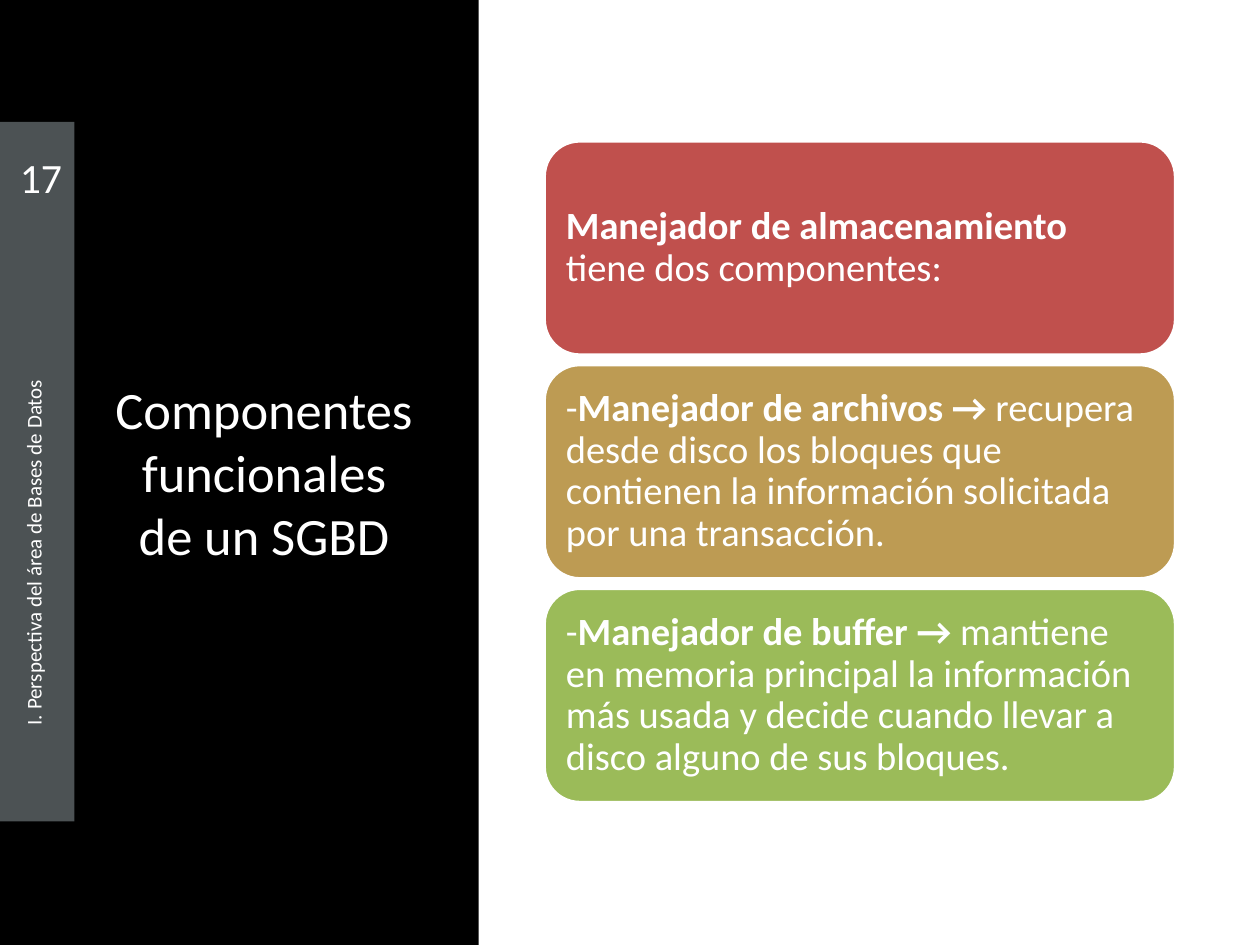
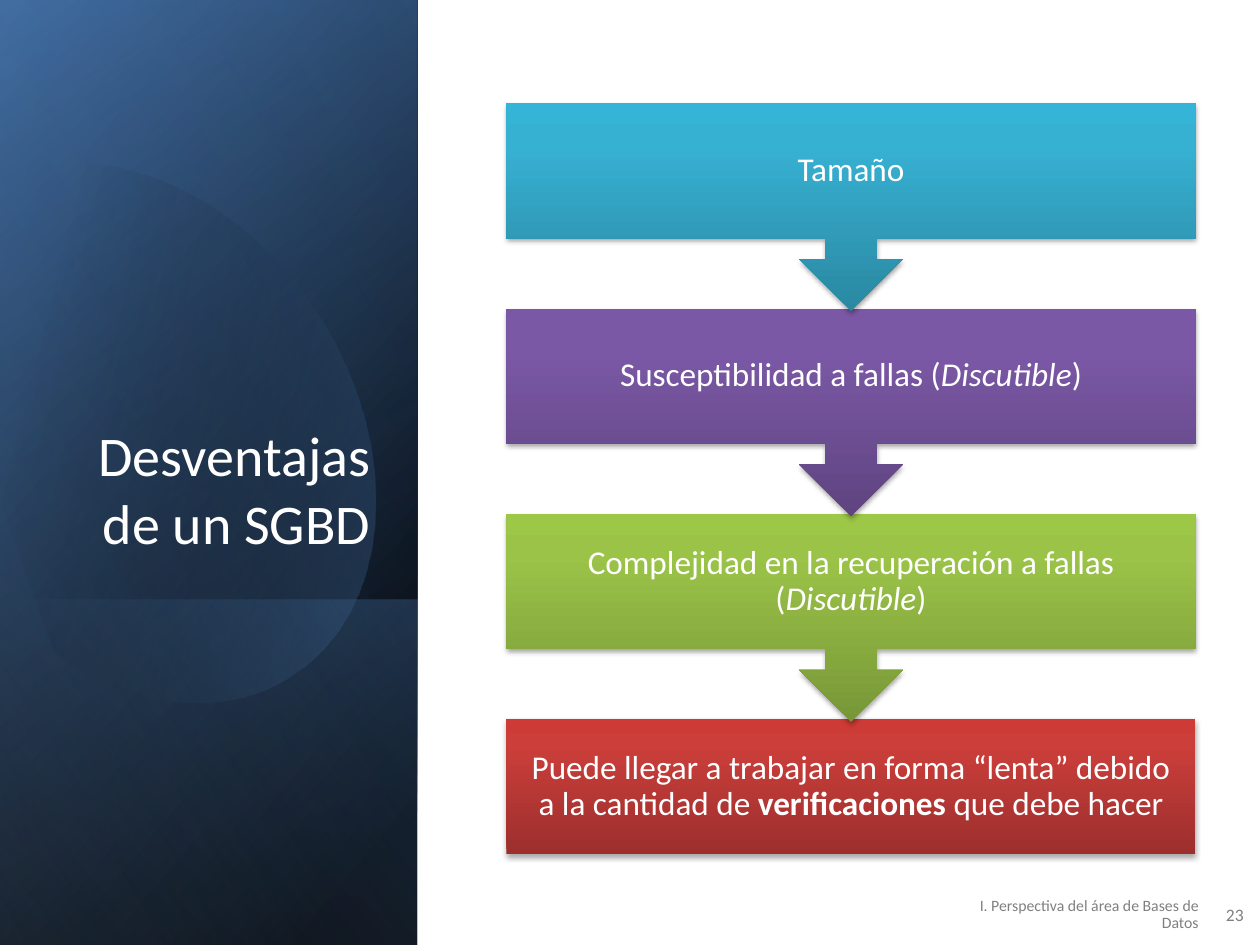
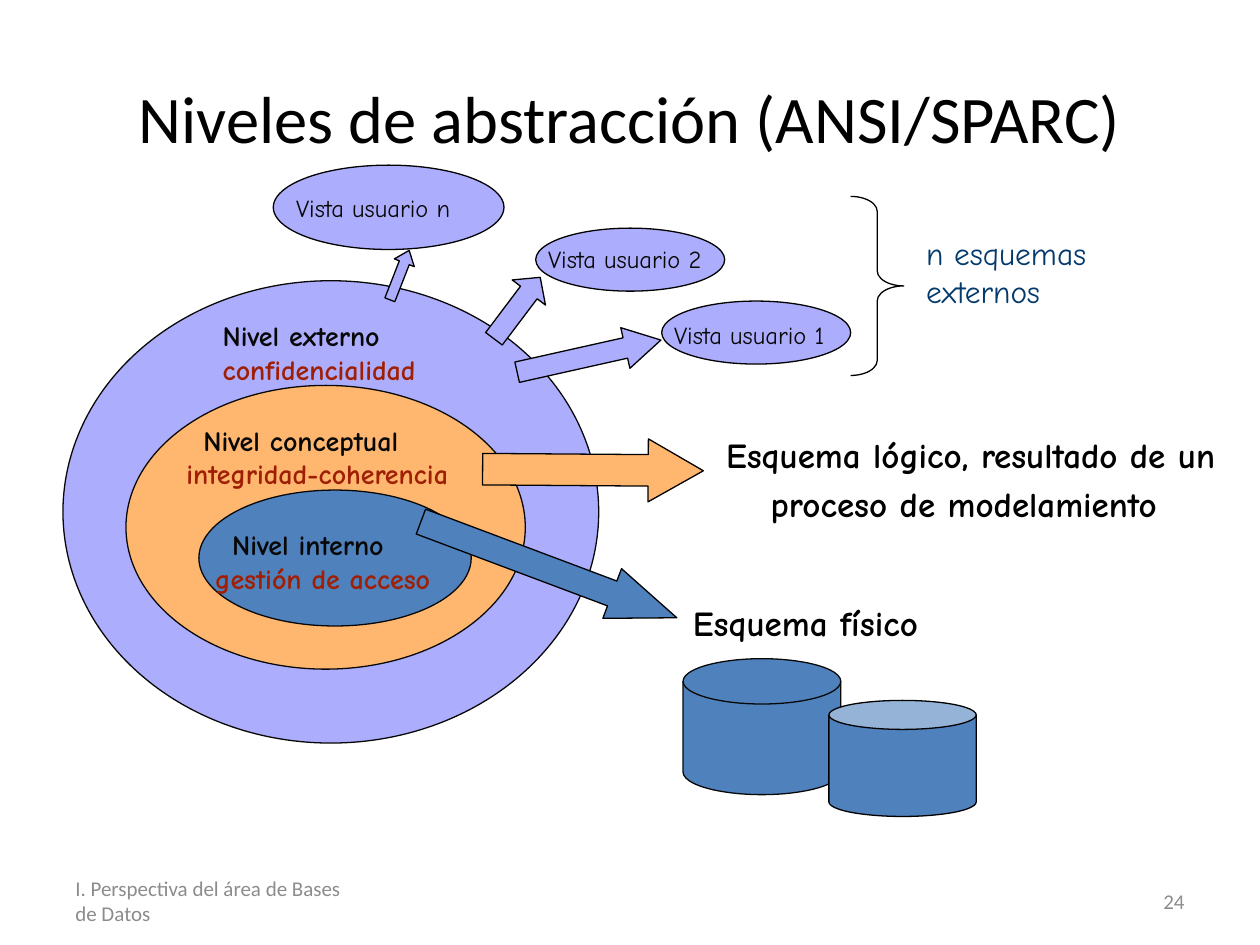
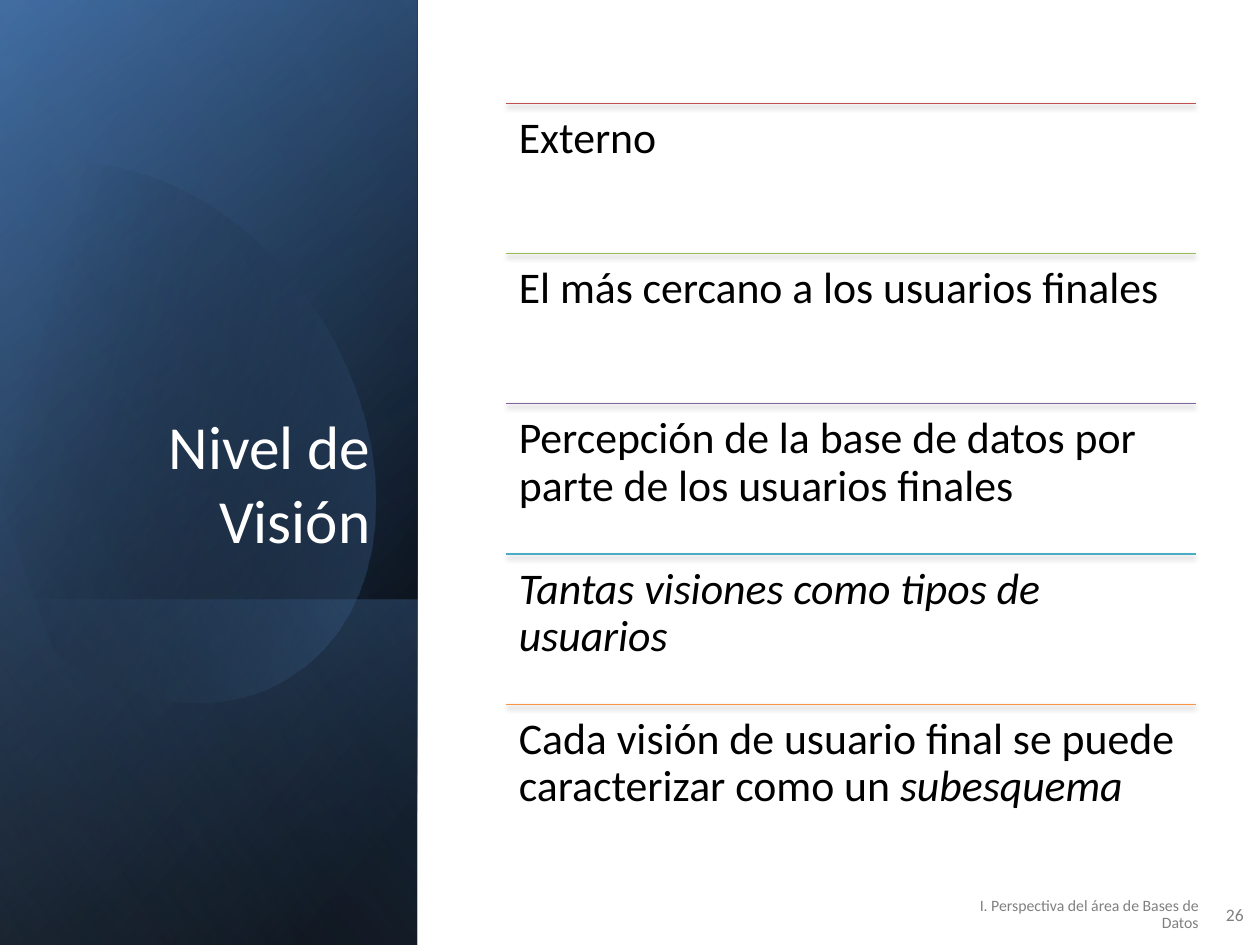
from lxml.etree import SubElement
from pptx import Presentation
from pptx.dml.color import RGBColor
from pptx.enum.shapes import MSO_CONNECTOR, MSO_SHAPE as S
from pptx.enum.text import MSO_ANCHOR as V, PP_ALIGN as A
from pptx.oxml.ns import qn
from pptx.util import Cm, Pt

WIDE, HIGH = 25.4, 19.05
UNIT = "I. Perspectiva del área de Bases de Datos"
WHITE, BLACK, INK, GRAY = "FFFFFF", "000000", "080808", "808080"
VIOLET, ORANGE, BLUE, RED, NAVY = "ADADFD", "FFB76F", "4F81BD", "9F1F05", "03396B"
COMIC = "Comic Neue"
BOLD, ITALIC = {"bold": True}, {"italic": True}

# Shared side panel: top, height, angle, stops (position, colour, opacity)
PANEL = 8.41
BANDS = [
    (0, HIGH, 50, [(8, BLACK, 100), (100, "376092", 100)]),
    (0, HIGH, 30, [(0, BLACK, 0), (99, BLUE, 46)]),
    (12.09, 6.96, 130, [(2, BLUE, 29), (100, BLACK, 30)]),
]
GLOSS = (0, HIGH, 120, [(0, BLACK, 0), (99, "95B3D7", 11)])
EGG_FILL = (30, [(29, BLACK, 0), (100, BLUE, 43)])
EGG = [  # one point is a line, three points are a curve
    [(2.44, 2.9)],
    [(4.34, 3.1), (6.2, 4.88), (6.93, 7.37)],
    [(7.8, 10.46), (6.65, 13.49), (4.34, 14.15)],
    [(2.9, 14.58), (1.35, 13.97), (0.18, 12.7)],
    [(-0.08, 12.4)], [(-0.63, 4.22)], [(-0.38, 3.91)],
    [(0.05, 3.48), (0.56, 3.18), (1.14, 3)],
    [(1.57, 2.87), (2.01, 2.84), (2.44, 2.9)],
]

# Slide 1
PARTS = [
    ("C0504D", [("Manejador de almacenamiento ", BOLD), ("tiene dos componentes:", {})]),
    ("BD9B53", [("-", {}), ("Manejador de archivos →", BOLD),
                (" recupera desde disco los bloques que contienen la información "
                 "solicitada por una transacción.", {})]),
    ("9BBB59", [("-", {}), ("Manejador de buffer →", BOLD),
                (" mantiene en memoria principal la información más usada y decide "
                 "cuando llevar a disco alguno de sus bloques.", {})]),
]

# Slide 2: dark, middle and light tone, then text
FLAWS = [
    (("2A88A2", "37B1D2", "34B4D6"), [("Tamaño", {})]),
    (("5F4480", "7B58A6", "7C57A8"),
     [("Susceptibilidad a fallas (", {}), ("Discutible", ITALIC), (")", {})]),
    (("779737", "9BC348", "9DC746"),
     [("Complejidad en la recuperación a fallas (", {}), ("Discutible", ITALIC), (")", {})]),
    (("9C2F2D", "CB3E3A", "CE3B37"),
     [("Puede llegar a trabajar en forma “lenta” debido a la cantidad de ", {}),
      ("verificaciones", BOLD), (" que debe hacer", {})]),
]

# Slide 3
LEVELS = [  # ellipse, colour, label box, name, purpose, first line indent
    ((1.27, 5.66, 10.8, 9.32), VIOLET, (4.24, 6.3, 5.05, 1.63),
     "Nivel externo ", "confidencialidad", 0),
    ((2.54, 7.77, 8.05, 5.72), ORANGE, (3.51, 8.41, 6.48, 1.63),
     "Nivel conceptual ", "integridad-coherencia", 0.34),
    ((4.01, 9.88, 5.49, 2.74), BLUE, (4.09, 10.52, 5.51, 1.63),
     "Nivel interno ", "gestión de acceso", 0.34),
]
ARROWS = [  # box, turn, head length, colour
    ((8.31, 10.95, 5.51, 1.07), 20.6, 1.3, BLUE),
    ((9.73, 8.84, 4.45, 1.27), 0.4, 0.875, ORANGE),
    ((10.39, 6.76, 2.97, 0.84), 347.4, 0.875, VIOLET),
    ((9.65, 5.79, 1.55, 0.84), 307, 0.454, VIOLET),
    ((7.52, 5.33, 1.07, 0.43), 291.3, 0.625, VIOLET),
]
VIEWS = [  # ellipse, label box, text
    ((13.34, 6.07, 3.81, 1.27), (13.34, 6.32, 4.37, 0.84), "Vista usuario 1"),
    ((10.8, 4.6, 3.81, 1.27), (10.8, 4.8, 4.11, 0.84), "Vista usuario 2"),
    ((5.51, 3.33, 4.65, 1.7), (5.72, 3.76, 4.45, 0.84), "Vista usuario n"),
]

# Slide 4
VISION = [
    ("C0504D", [("Externo", {})]),
    ("9BBB59", [("El más cercano a los usuarios finales", {})]),
    ("8064A2", [("Percepción de la base de datos por parte de los usuarios finales", {})]),
    ("4BACC6", [("Tantas visiones como tipos de usuarios", ITALIC)]),
    ("F79646", [("Cada visión de usuario final se puede caracterizar como un ", {}),
                ("subesquema", ITALIC)]),
]


def rgb(code):
    return RGBColor.from_string(code)


def assign(item, values):
    for name, value in values.items():
        setattr(item, name, value)


def node(parent, tag, **attrs):
    return SubElement(parent, qn(tag), {k: str(v) for k, v in attrs.items()})


def tint(parent, code, alpha):
    color = node(parent, "a:srgbClr", val=code)
    if alpha < 100:
        node(color, "a:alpha", val=alpha * 1000)


def blend(shape, angle, stops, turn=True):
    """Gradient fill whose stops may be see-through."""
    shape.fill.background()
    props = shape.element.spPr
    blank = props.find(qn("a:noFill"))
    grad = node(props, "a:gradFill", rotWithShape=int(turn))
    row = node(grad, "a:gsLst")
    for pos, code, alpha in stops:
        tint(node(row, "a:gs", pos=pos * 1000), code, alpha)
    node(grad, "a:lin", ang=angle * 60000, scaled=0)
    props.replace(blank, grad)


def shade(item, soft):
    """Clear the inherited shadow, or set the soft one below the shape."""
    effect = node(item.element.spPr, "a:effectLst")
    if soft:
        drop = node(effect, "a:outerShdw", blurRad=Pt(3.1), dist=Pt(1.8),
                    dir=90 * 60000, rotWithShape=0)
        tint(drop, BLACK, 35)


def paint(shape, fill=None, line=None, width=0.75, soft=False, turn=0):
    if isinstance(fill, tuple):
        blend(shape, *fill)
    elif fill:
        shape.fill.solid()
        shape.fill.fore_color.rgb = rgb(fill)
    else:
        shape.fill.background()
    if line:
        assign(shape.line, {"width": Pt(width)})
        shape.line.color.rgb = rgb(line)
    else:
        shape.line.fill.background()
    shape.rotation = turn
    shade(shape, soft)
    return shape


def draw(slide, kind, box, fill=None, line=None, adj=(), **look):
    shape = slide.shapes.add_shape(kind, *map(Cm, box))
    for i, value in enumerate(adj):
        shape.adjustments[i] = value
    return paint(shape, fill, line, **look)


def write(shape, runs, size, color, align=A.LEFT, anchor=V.MIDDLE, inset=None,
          face="Calibri", space=None, indent=0):
    frame = shape.text_frame
    assign(frame, {"word_wrap": True, "vertical_anchor": anchor})
    if inset is not None:
        sides = ("left", "top", "right", "bottom")
        assign(frame, {f"margin_{side}": Cm(inset) for side in sides})
    para = frame.paragraphs[0]
    if indent:
        para._p.get_or_add_pPr().set("indent", str(Cm(indent)))
    assign(para, {"alignment": align, "line_spacing": space})
    for text, style in [(runs, {})] if isinstance(runs, str) else runs:
        if text == "\n":
            para.add_line_break()
            continue
        run = para.add_run()
        run.text = text
        style = {"name": face, "size": Pt(size), "color": color, **style}
        run.font.color.rgb = rgb(style.pop("color"))
        assign(run.font, style)


def label(slide, box, runs, size, color, turn=0, **form):
    shape = slide.shapes.add_textbox(*map(Cm, box))
    shape.rotation = turn
    write(shape, runs, size, color, **form)


def trace(edge, steps=16):
    """Points along an outline of lines and cubic curves."""
    points = [edge[0][0]]
    for part in edge[1:]:
        if len(part) == 1:
            points += part
            continue
        knots = [points[-1], *part]
        for i in range(1, steps + 1):
            t = i / steps
            rates = ((1 - t) ** 3, 3 * t * (1 - t) ** 2, 3 * t * t * (1 - t), t ** 3)
            points.append(tuple(sum(r * k[axis] for r, k in zip(rates, knots))
                                for axis in (0, 1)))
    return [(Cm(x), Cm(y)) for x, y in points]


def band(slide, top, high, angle, stops):
    """A rectangle on the left edge, turned a quarter and mirrored."""
    box = ((PANEL - high) / 2, top + (high - PANEL) / 2, high, PANEL)
    shape = draw(slide, S.RECTANGLE, box, (angle, stops), turn=90)
    shape.element.spPr.xfrm.set("flipH", "1")


def side(slide, title, size, page):
    """Blue side panel with title, footer and page number."""
    for part in BANDS:
        band(slide, *part)
    start, *rest = trace(EGG)
    pen = slide.shapes.build_freeform(*start)
    pen.add_line_segments(rest, close=True)
    paint(pen.convert_to_shape(), EGG_FILL, turn=343.9)
    band(slide, *GLOSS)
    label(slide, (1.22, 4.67, 6.5, 6.65), title, size, WHITE, align=A.RIGHT, anchor=V.BOTTOM)
    label(slide, (18.81, 17.93, 5.6, 1.02), UNIT, 9, GRAY, align=A.RIGHT, space=0.9)
    label(slide, (24.38, 17.93, 0.94, 1.02), page, 10, GRAY, align=A.RIGHT)


def parts(slide):
    draw(slide, S.RECTANGLE, (0, 0, 9.65, HIGH), BLACK)
    title = [("Componentes funcionales", {}), ("\n", {}), ("de un SGBD", {})]
    label(slide, (2.06, 2.46, 6.53, 14.1), title, 30, WHITE, align=A.CENTER)
    draw(slide, S.RECTANGLE, (0, 2.46, 1.5, 14.1), "4C5254")
    label(slide, (0, 2.72, 1.5, 1.68), "17", 23.8, WHITE, align=A.RIGHT)
    label(slide, (-3.84, 9.98, 8.79, 0.99), UNIT, 12, WHITE, turn=270, anchor=V.BOTTOM)
    for i, (color, runs) in enumerate(PARTS):
        card = draw(slide, S.ROUNDED_RECTANGLE, (10.97, 2.84 + 4.51 * i, 12.73, 4.32),
                    color, WHITE, width=2)
        write(card, runs, 22, WHITE, inset=0.23, space=0.9)


def flaws(slide):
    side(slide, "Desventajas de un SGBD", 32, "23")
    last = len(FLAWS) - 1
    for i, (tones, runs) in reversed(list(enumerate(FLAWS))):
        left, top, wide, high = 10.21, 2.08 + 4.14 * i, 13.89, 2.72
        kind, full, turn = ((S.RECTANGLE, high, 0) if i == last
                            else (S.UP_ARROW_CALLOUT, 4.19, 180))
        stops = [(pos, tone, 100) for pos, tone in zip((0, 80, 100), tones)]
        draw(slide, kind, (left, top, wide, full), (270, stops, False), soft=True, turn=turn)
        label(slide, (left, top, wide, high), runs, 19, WHITE,
              align=A.CENTER, inset=0.38, space=0.9)


def levels(slide):
    label(slide, (1.27, 0.76, 22.86, 3.18), "Niveles de abstracción (ANSI/SPARC)",
          38, BLACK, align=A.CENTER)
    label(slide, (1.27, 17.65, 5.92, 1.02), UNIT, 12, "8C8C8C")
    label(slide, (18.21, 17.65, 5.92, 1.02), "24", 12, "8C8C8C", align=A.RIGHT)
    note = {"face": COMIC, "anchor": V.TOP}
    for box, color, *_ in LEVELS:
        draw(slide, S.OVAL, box, color, INK)
    for _, _, box, name, goal, indent in LEVELS:
        runs = [(name, BOLD), (goal, {**BOLD, "color": RED})]
        label(slide, box, runs, 16, INK, indent=indent, **note)
    for box, turn, head, color in ARROWS:
        draw(slide, S.RIGHT_ARROW, box, color, BLACK, adj=(0.5, head), turn=turn)
    for oval, box, text in VIEWS:
        draw(slide, S.OVAL, oval, VIOLET, BLACK)
        label(slide, box, text, 14, INK, **note)
    draw(slide, S.RIGHT_BRACE, (17.15, 3.96, 1.07, 3.61), None, BLACK, adj=(0.283, 0.5))
    label(slide, (18.42, 4.6, 5.08, 1.78), "n esquemas externos", 18, NAVY, **note)
    logic = [("Esquema lógico, resultado de un proceso de modelamiento", BOLD),
             (" ", {"size": Pt(24)})]
    label(slide, (14.17, 8.61, 10.8, 2.11), logic, 20, BLACK, align=A.CENTER, **note)
    label(slide, (13.72, 12.01, 6.99, 1.09), [("Esquema físico", BOLD)], 20, BLACK, **note)
    draw(slide, S.FLOWCHART_MAGNETIC_DISK, (13.77, 13.28, 3.18, 2.74), BLUE, INK)
    draw(slide, S.CAN, (16.71, 14.12, 2.97, 2.34), BLUE, BLACK, adj=(0.25,))


def vision(slide):
    side(slide, "Nivel de Visión", 35, "26")
    for i, (color, runs) in enumerate(VISION):
        left, top, wide = 10.21, 2.08 + 3.03 * i, 13.89
        rule = slide.shapes.add_connector(
            MSO_CONNECTOR.STRAIGHT, *map(Cm, (left, top, left + wide, top)))
        rule.line.width = Pt(0.75)
        rule.line.color.rgb = rgb(color)
        shade(rule, True)
        label(slide, (left, top, wide, 3.03), runs, 25, BLACK,
              anchor=V.TOP, inset=0.25, space=0.9)


def main():
    deck = Presentation()
    assign(deck, {"slide_width": Cm(WIDE), "slide_height": Cm(HIGH)})
    for build in (parts, flaws, levels, vision):
        build(deck.slides.add_slide(deck.slide_layouts[6]))
    deck.save("out.pptx")


if __name__ == "__main__":
    main()
